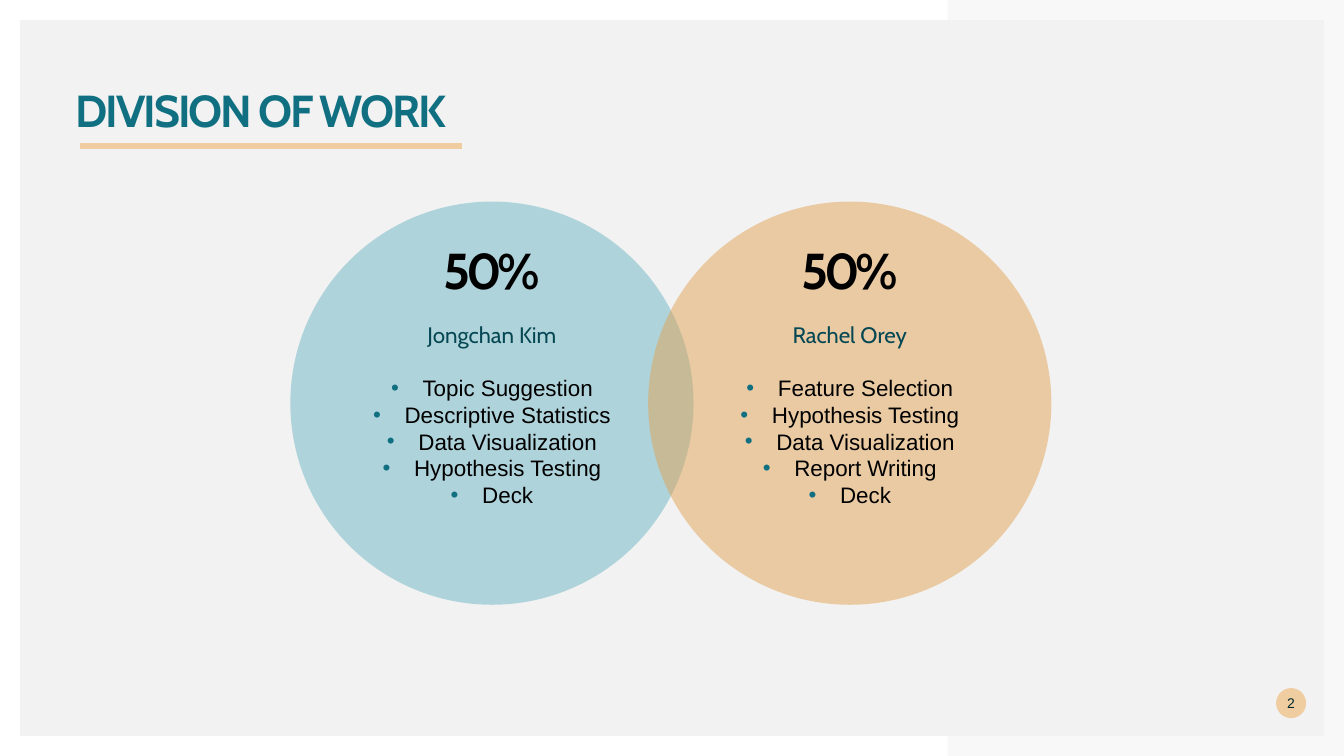
from lxml.etree import SubElement
from pptx import Presentation
from pptx.dml.color import RGBColor
from pptx.enum.shapes import MSO_CONNECTOR, MSO_SHAPE
from pptx.enum.text import MSO_ANCHOR, PP_ALIGN
from pptx.oxml.ns import qn
from pptx.util import Pt

TEAL, SAND, PANEL, BLACK = "107082", "F0CDA1", "F2F2F2", "000000"
DIAMETER = 288
LINE_HEIGHT = 19.1
MEMBERS = [
    (207.4, "64B2C1", "50%", "Jongchan Kim",
     ["Topic Suggestion", "Descriptive Statistics", "Data Visualization",
      "Hypothesis Testing", "Deck"]),
    (463, "E29F4B", "50%", "Rachel Orey",
     ["Feature Selection", "Hypothesis Testing", "Data Visualization",
      "Report Writing", "Deck"]),
]


def rgb(code):
    """Turn a hex string into a colour."""
    return RGBColor.from_string(code)


def paint(shape, code, opacity=100):
    """Give a shape a flat fill without line or shadow."""
    shape.shadow.inherit = False
    shape.line.fill.background()
    shape.fill.solid()
    shape.fill.fore_color.rgb = rgb(code)
    if opacity < 100:
        tint = shape.fill._xPr.find(qn("a:solidFill"))[0]
        SubElement(tint, qn("a:alpha"), val=str(opacity * 1000))


def place(shape, left, top, width, height):
    """Move a shape to a box given in points."""
    shape.left, shape.top = Pt(left), Pt(top)
    shape.width, shape.height = Pt(width), Pt(height)


def frame(shape, anchor):
    """Return the shape's text frame, wrapped and without margins."""
    text = shape.text_frame
    text.word_wrap = True
    text.vertical_anchor = anchor
    text.margin_left = text.margin_right = 0
    text.margin_top = text.margin_bottom = 0
    return text


def write(paragraph, words, size, font, code, align, bold=False, tracking=0):
    """Fill a paragraph with one evenly formatted text."""
    paragraph.text = words
    paragraph.alignment = align
    paragraph.font.size = Pt(size)
    paragraph.font.name = font
    paragraph.font.bold = bold
    paragraph.font.color.rgb = rgb(code)
    if tracking:
        paragraph.runs[0]._r.get_or_add_rPr().set("spc", str(int(tracking * 100)))


def set_bullet(paragraph, code=None):
    """Give a paragraph a coloured hanging bullet, or none."""
    properties = paragraph._p.get_or_add_pPr()
    indent = Pt(22.5) if code else 0
    properties.set("marL", str(indent))
    properties.set("indent", str(-indent))
    marks = []
    if code:
        colour = SubElement(properties, qn("a:buClr"))
        SubElement(colour, qn("a:srgbClr"), val=code)
        marks = [colour, SubElement(properties, qn("a:buFont"), typeface="Arial"),
                 SubElement(properties, qn("a:buChar"), char="•")]
    else:
        marks = [SubElement(properties, qn("a:buNone"))]
    defaults = properties.find(qn("a:defRPr"))
    for mark in marks:
        defaults.addprevious(mark)


def bring_to_front(shape):
    """Draw a shape above everything placed so far."""
    shape.element.getparent().append(shape.element)


def add_backdrop(slide, left, top, width, height):
    """Draw the grey panel and the pale bracket around its right end."""
    edge = 14.4
    panel = slide.shapes.add_shape(
        MSO_SHAPE.RECTANGLE, Pt(left + edge), Pt(top + edge),
        Pt(width - 2 * edge), Pt(height - 2 * edge))
    paint(panel, PANEL)
    start, right, bottom = left + 676.8, left + width, top + height
    corners = [(right, top), (right, bottom), (start, bottom),
               (start, bottom - edge), (right - edge, bottom - edge),
               (right - edge, top + edge), (start, top + edge)]
    outline = slide.shapes.build_freeform(Pt(start), Pt(top))
    outline.add_line_segments([(Pt(x), Pt(y)) for x, y in corners])
    paint(outline.convert_to_shape(), PANEL, 50)


def add_heading(slide, left, top, width, height):
    """Set the title and its underline."""
    title = slide.shapes.title
    place(title, left, top, width, height)
    heading = frame(title, MSO_ANCHOR.TOP).paragraphs[0]
    write(heading, "DIVISION OF WORK", 32, "Cabin", TEAL, PP_ALIGN.LEFT, True, -1.5)
    heading.line_spacing = 0.9
    bring_to_front(title)
    start, level = left + 3, top + 41
    underline = slide.shapes.add_connector(
        MSO_CONNECTOR.STRAIGHT, Pt(start), Pt(level), Pt(start + 273.3), Pt(level))
    underline.line.color.rgb = rgb(SAND)
    underline.line.width = Pt(4.32)
    SubElement(underline.element.spPr, qn("a:effectLst"))


def add_circle(slide, left, top, diameter, code):
    """Draw one translucent member circle."""
    circle = slide.shapes.add_shape(
        MSO_SHAPE.FLOWCHART_CONNECTOR, Pt(left), Pt(top), Pt(diameter), Pt(diameter))
    paint(circle, code, 47)


def add_member(slide, tasks_box, left, top, diameter, share, name, tasks):
    """Write a member's share, name and tasks inside the circle's box."""
    share_box = slide.shapes.add_textbox(
        Pt(left + (diameter - 76.4) / 2), Pt(top + 24.5), Pt(76.4), Pt(45.4))
    write(frame(share_box, MSO_ANCHOR.BOTTOM).paragraphs[0], share, 36, "Cabin",
          BLACK, PP_ALIGN.CENTER, True, -3)
    place(tasks_box, left + (diameter - 195) / 2, top + 83.5, 195, 135.4)
    text = frame(tasks_box, MSO_ANCHOR.BOTTOM)
    for index, words in enumerate([name] + tasks):
        line = text.add_paragraph() if index else text.paragraphs[0]
        font, code = ("Arial", BLACK) if index else ("Cabin", "054854")
        write(line, words, 16, font, code, PP_ALIGN.CENTER)
        line.line_spacing = Pt(LINE_HEIGHT)
        line.space_before = Pt(0)
        line.space_after = Pt(0 if index else LINE_HEIGHT)
        set_bullet(line, TEAL if index else None)
    bring_to_front(tasks_box)


def add_page_number(slide, left, top, diameter):
    """Draw the page number in its dot."""
    dot = slide.shapes.add_shape(
        MSO_SHAPE.OVAL, Pt(left), Pt(top), Pt(diameter), Pt(diameter))
    paint(dot, SAND)
    write(frame(dot, MSO_ANCHOR.MIDDLE).paragraphs[0], "2", 10, "Arial",
          "00292E", PP_ALIGN.CENTER)


def main():
    """Build and save the slide."""
    deck = Presentation()
    deck.slide_width, deck.slide_height = Pt(960), Pt(540)
    slide = deck.slides.add_slide(deck.slide_layouts.get_by_name("Two Content"))
    add_backdrop(slide, 0, 0, 960, 540)
    add_page_number(slide, 911.5, 491.5, 21.5)
    add_heading(slide, 54, 63.4, 595.4, 28.8)
    for left, code, *_ in MEMBERS:
        add_circle(slide, left, 144, DIAMETER, code)
    for index, (left, _, share, name, tasks) in enumerate(MEMBERS, 1):
        add_member(slide, slide.placeholders[index], left, 144, DIAMETER,
                   share, name, tasks)
    deck.save("out.pptx")


if __name__ == "__main__":
    main()
